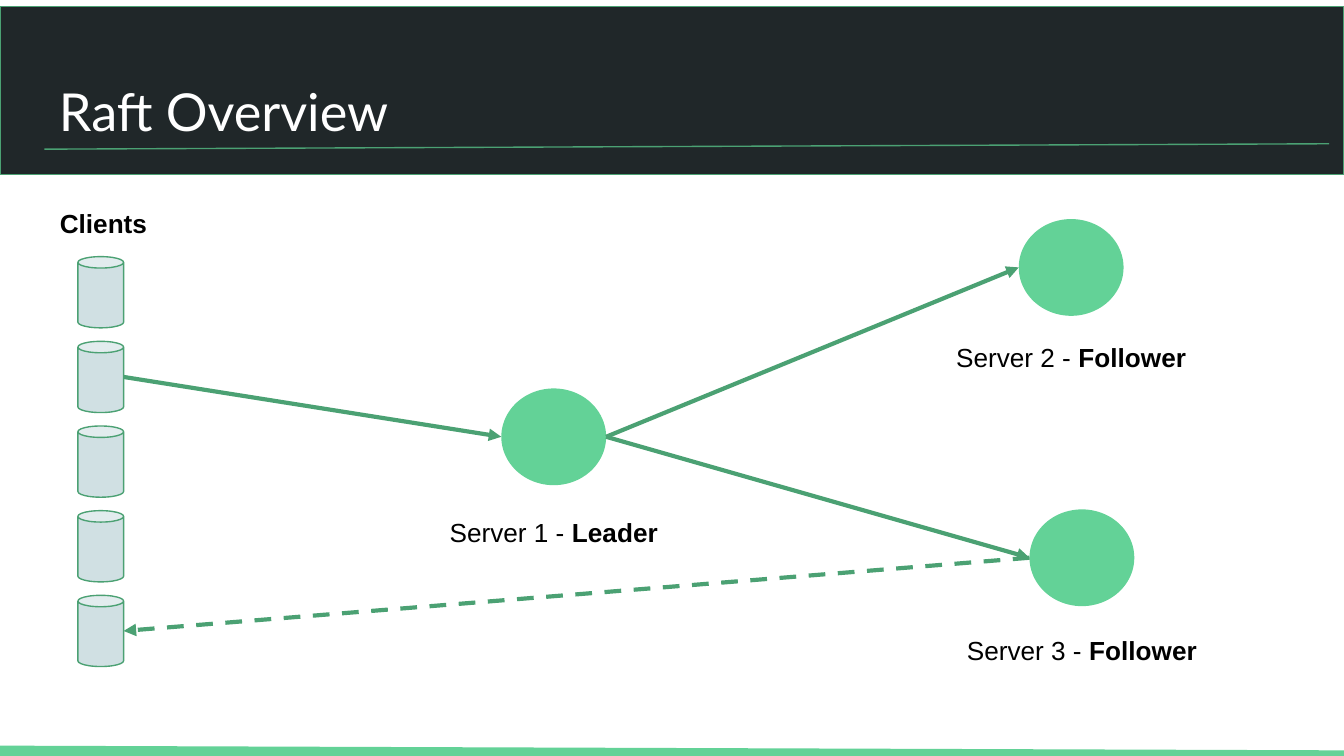
from lxml import etree
from pptx import Presentation
from pptx.dml.color import RGBColor
from pptx.enum.dml import MSO_LINE
from pptx.enum.shapes import MSO_CONNECTOR, MSO_SHAPE
from pptx.enum.text import MSO_ANCHOR, PP_ALIGN
from pptx.oxml.ns import qn
from pptx.util import Inches, Pt

RECT, CAN, OVAL = MSO_SHAPE.RECTANGLE, MSO_SHAPE.CAN, MSO_SHAPE.OVAL
STRAIGHT, DASH = MSO_CONNECTOR.STRAIGHT, MSO_LINE.DASH
TOP, LEFT, CENTER = MSO_ANCHOR.TOP, PP_ALIGN.LEFT, PP_ALIGN.CENTER

# Content
TITLE = "Raft Overview"
CLIENTS = "Clients"
CLIENT_COUNT = 5
# name, role, circle left and top, label top
SERVERS = [
    ("Server 1", "Leader", 3.73, 2.89, 3.74),
    ("Server 2", "Follower", 7.58, 1.63, 2.44),
    ("Server 3", "Follower", 7.66, 3.79, 4.62),
]

# Look and layout, in inches; the slide is 16:9
W = 10
H = W * 9 / 16
DARK, GREEN, MINT, PALE = "202729", "4BA173", "63D297", "D0E0E3"
WHITE, BLACK = "FFFFFF", "000000"
CAN_X, CAN_Y, CAN_W, CAN_H, CAN_PITCH = 0.58, 1.91, 0.34, 0.53, 0.63
OVAL_W, OVAL_H = 0.78, 0.72
LABEL_W, LABEL_H = 2.81, 0.37

prs = Presentation()
prs.slide_width, prs.slide_height = Inches(W), Inches(H)
s = prs.slides.add_slide(prs.slide_layouts[6])


def color(value):
    return RGBColor.from_string(value)


def add_shape(kind, x, y, w, h, fill, line=None):
    sp = s.shapes.add_shape(kind, Inches(x), Inches(y), Inches(w), Inches(h))
    sp.shadow.inherit = False
    sp.fill.solid()
    sp.fill.fore_color.rgb = color(fill)
    if line:
        sp.line.color.rgb = color(line)
        sp.line.width = Pt(0.75)
    else:
        sp.line.fill.background()
    return sp


def add_line(start, end, stroke, width, arrow=False, dash=None):
    cn = s.shapes.add_connector(STRAIGHT, *(Inches(v) for v in (*start, *end)))
    cn.line.color.rgb = color(stroke)
    cn.line.width = Pt(width)
    if dash:
        cn.line.dash_style = dash
    sp_pr = cn._element.spPr
    if arrow:
        etree.SubElement(sp_pr.find(qn("a:ln")), qn("a:tailEnd"), type="triangle")
    etree.SubElement(sp_pr, qn("a:effectLst"))


def add_text(x, y, w, h, runs, size=14, font="Arial", ink=BLACK, align=CENTER):
    """Each run is a pair of text and bold."""
    tf = s.shapes.add_textbox(Inches(x), Inches(y), Inches(w), Inches(h)).text_frame
    tf.word_wrap = True
    tf.vertical_anchor = TOP
    tf.margin_left = tf.margin_right = tf.margin_top = tf.margin_bottom = Inches(0.1)
    p = tf.paragraphs[0]
    p.alignment = align
    p.font.size, p.font.name = Pt(size), font
    p.font.color.rgb = color(ink)
    for text, bold in runs:
        r = p.add_run()
        r.text = text
        r.font.bold = bold


# Title band and footer rule
add_shape(RECT, 0, 0.05, W, 1.25, DARK, GREEN)
add_text(0.34, 0.49, 9.32, 0.63, [(TITLE, False)], 28, "Lato", WHITE, LEFT)
add_line((0.33, 1.11), (9.89, 1.07), GREEN, 0.75)
add_line((0, 5.59), (W, H), MINT, 6)

# Clients
add_text(0, 1.44, 1.54, 0.5, [(CLIENTS, True)])
client_ports = []
for i in range(CLIENT_COUNT):
    y = CAN_Y + i * CAN_PITCH
    add_shape(CAN, CAN_X, y, CAN_W, CAN_H, PALE, GREEN).adjustments[0] = 0.25
    client_ports.append((CAN_X + CAN_W, y + CAN_H / 2))

# Servers, each label centred on its circle
left_ports, right_ports = [], []
for name, role, x, y, label_y in SERVERS:
    add_shape(OVAL, x, y, OVAL_W, OVAL_H, MINT)
    add_text(x + (OVAL_W - LABEL_W) / 2, label_y, LABEL_W, LABEL_H,
             [(f"{name} - ", False), (role, True)])
    left_ports.append((x, y + OVAL_H / 2))
    right_ports.append((x + OVAL_W, y + OVAL_H / 2))

# Messages
leader_in, *follower_ins = left_ports
add_line(client_ports[1], leader_in, GREEN, 2.25, arrow=True)
for port in follower_ins:
    add_line(right_ports[0], port, GREEN, 2.25, arrow=True)
add_line(follower_ins[-1], client_ports[-1], GREEN, 2.25, arrow=True, dash=DASH)

prs.save("out.pptx")
